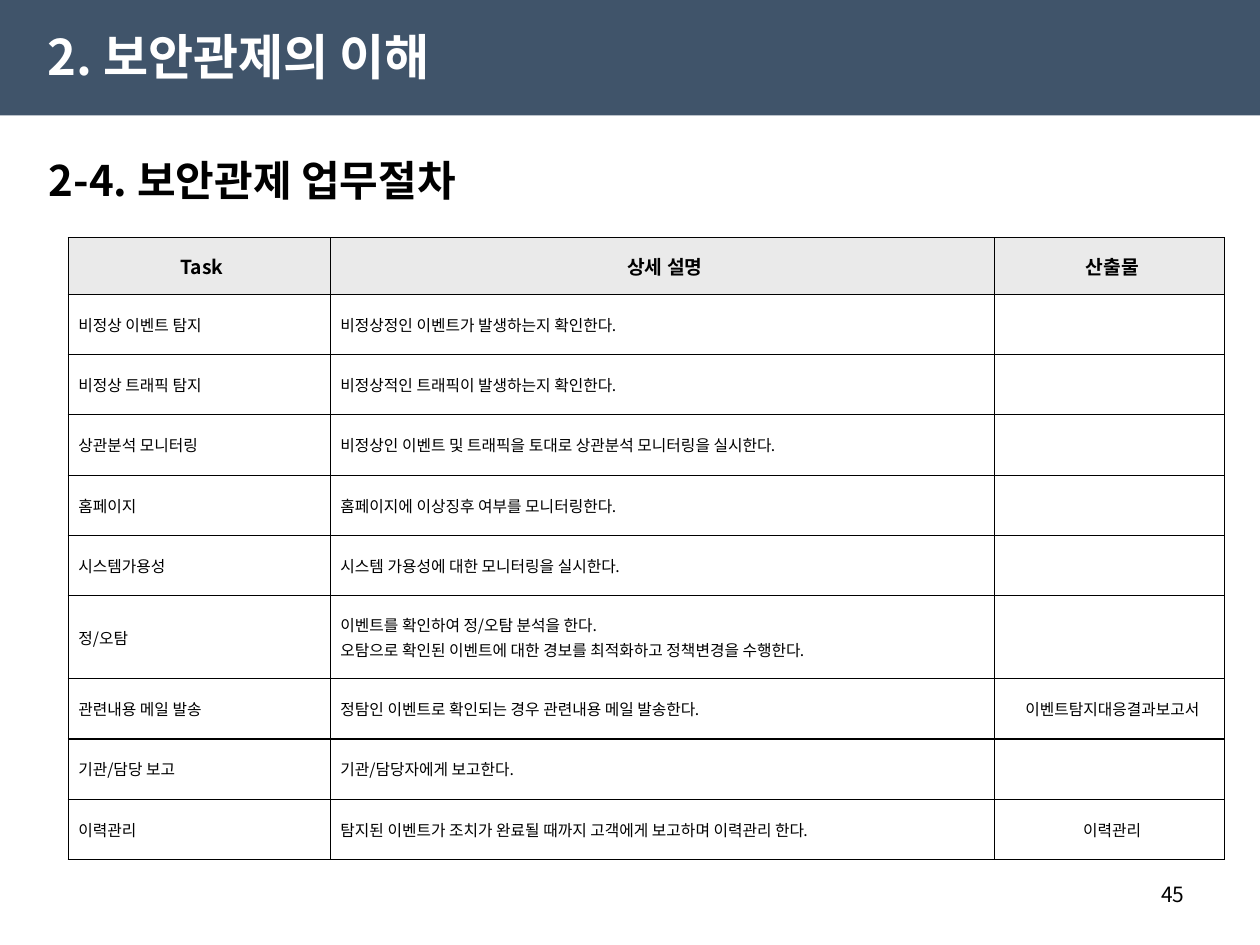
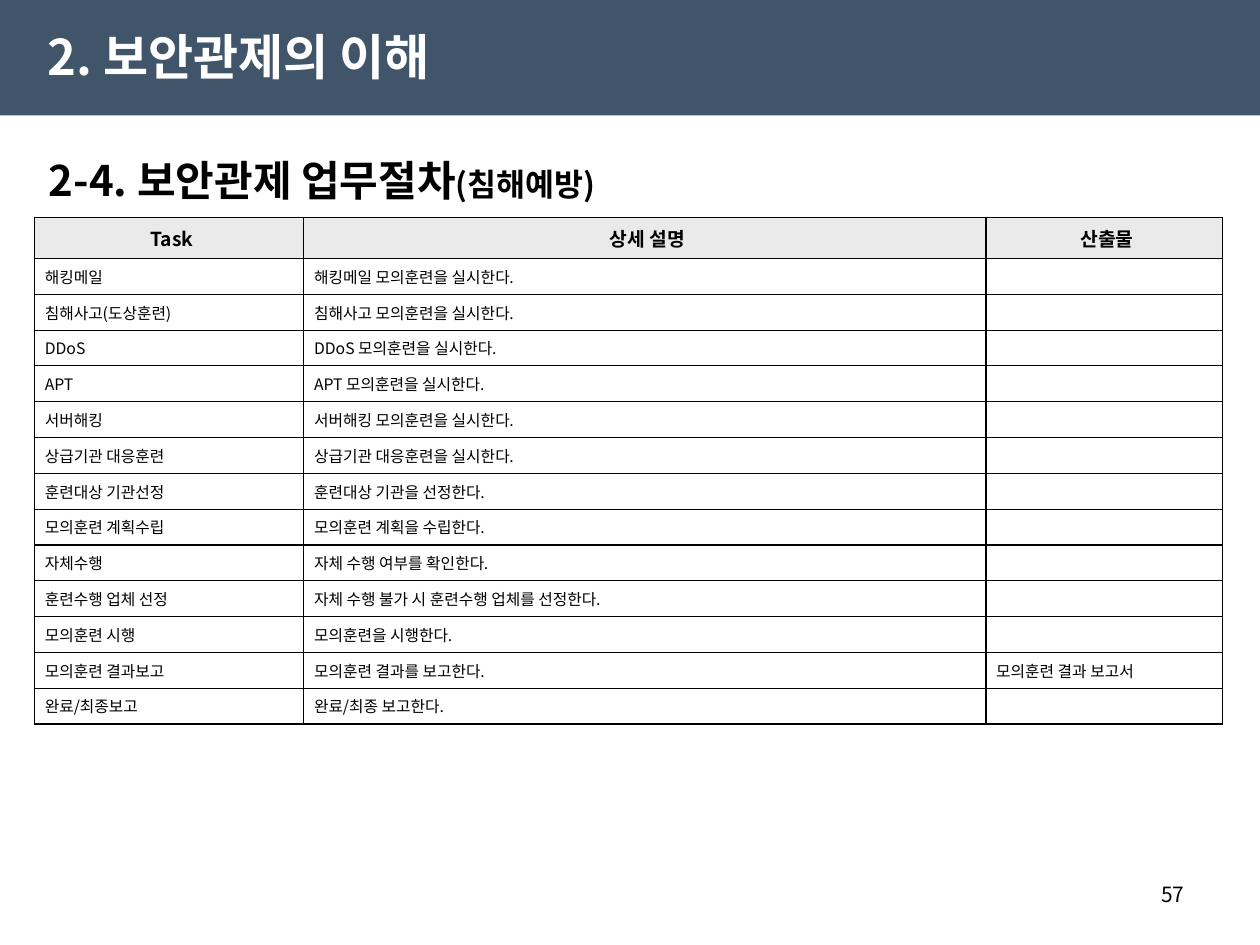
from lxml.etree import SubElement
from pptx import Presentation
from pptx.dml.color import RGBColor
from pptx.enum.shapes import MSO_SHAPE as Shape
from pptx.enum.text import MSO_ANCHOR as Anchor, PP_ALIGN as Align
from pptx.oxml import parse_xml
from pptx.oxml.ns import nsdecls, qn
from pptx.util import Pt

SLATE = RGBColor(0x40, 0x54, 0x6A)
WHITE = RGBColor(0xFF, 0xFF, 0xFF)
BLACK = RGBColor(0x00, 0x00, 0x00)
LIGHT_GRAY = RGBColor(0xEA, 0xEA, 0xEA)
FONT = "Noto Sans CJK KR"

SLIDE_WIDTH, SLIDE_HEIGHT = 720, 540
BORDER_WIDTH = 0.75
HEADER_SIZE, BODY_SIZE = 11, 9
COLUMN_WEIGHTS = (2.08, 5.27, 1.83)

CHAPTER = "2. 보안관제의 이해"
SECTION = "2-4. 보안관제 업무절차"
TABLE_HEADER = ("Task", "상세 설명", "산출물")

MONITORING_TASKS = [
    ("비정상 이벤트 탐지", "비정상정인 이벤트가 발생하는지 확인한다.", ""),
    ("비정상 트래픽 탐지", "비정상적인 트래픽이 발생하는지 확인한다.", ""),
    ("상관분석 모니터링", "비정상인 이벤트 및 트래픽을 토대로 상관분석 모니터링을 실시한다.", ""),
    ("홈페이지", "홈페이지에 이상징후 여부를 모니터링한다.", ""),
    ("시스템가용성", "시스템 가용성에 대한 모니터링을 실시한다.", ""),
    ("정/오탐", "이벤트를 확인하여 정/오탐 분석을 한다.\n"
     "오탐으로 확인된 이벤트에 대한 경보를 최적화하고 정책변경을 수행한다.", ""),
    ("관련내용 메일 발송", "정탐인 이벤트로 확인되는 경우 관련내용 메일 발송한다.",
     "이벤트탐지대응결과보고서"),
    ("기관/담당 보고", "기관/담당자에게 보고한다.", ""),
    ("이력관리", "탐지된 이벤트가 조치가 완료될 때까지 고객에게 보고하며 이력관리 한다.",
     "이력관리"),
]

PREVENTION_TASKS = [
    ("해킹메일", "해킹메일 모의훈련을 실시한다.", ""),
    ("침해사고(도상훈련)", "침해사고 모의훈련을 실시한다.", ""),
    ("DDoS", "DDoS 모의훈련을 실시한다.", ""),
    ("APT", "APT 모의훈련을 실시한다.", ""),
    ("서버해킹", "서버해킹 모의훈련을 실시한다.", ""),
    ("상급기관 대응훈련", "상급기관 대응훈련을 실시한다.", ""),
    ("훈련대상 기관선정", "훈련대상 기관을 선정한다.", ""),
    ("모의훈련 계획수립", "모의훈련 계획을 수립한다.", ""),
    ("자체수행", "자체 수행 여부를 확인한다.", ""),
    ("훈련수행 업체 선정", "자체 수행 불가 시 훈련수행 업체를 선정한다.", ""),
    ("모의훈련 시행", "모의훈련을 시행한다.", ""),
    ("모의훈련 결과보고", "모의훈련 결과를 보고한다.", "모의훈련 결과 보고서"),
    ("완료/최종보고", "완료/최종 보고한다.", ""),
]


class Deck:
    def __init__(self):
        self.presentation = Presentation()
        self.presentation.slide_width = Pt(SLIDE_WIDTH)
        self.presentation.slide_height = Pt(SLIDE_HEIGHT)
        self.slide = None

    def add_slide(self, section_runs, page_number):
        self.slide = self.presentation.slides.add_slide(self.presentation.slide_layouts[6])
        self.add_band()
        self.add_text(20.2, 9.4, 340, 45.4, [(CHAPTER, 28)], color=WHITE, bold=True)
        self.add_text(20.9, 82.8, 679, 39.6, section_runs, bold=True)
        self.add_text(516.2, 500.4, 167.8, 28.8, [(page_number, 12)],
                      align=Align.RIGHT, anchor=Anchor.TOP)

    def add_band(self):
        band = self.slide.shapes.add_shape(Shape.RECTANGLE, 0, 0, Pt(SLIDE_WIDTH), Pt(66))
        band.shadow.inherit = False
        band.fill.solid()
        band.fill.fore_color.rgb = SLATE
        band.line.fill.background()

    def add_text(self, left, top, width, height, runs, color=BLACK, bold=False,
                 align=Align.LEFT, anchor=Anchor.MIDDLE):
        box = self.slide.shapes.add_textbox(Pt(left), Pt(top), Pt(width), Pt(height))
        frame = box.text_frame
        frame.word_wrap = True
        frame.vertical_anchor = anchor
        paragraph = frame.paragraphs[0]
        paragraph.alignment = align
        for text, size in runs:
            self.add_run(paragraph, text, size, color, bold)

    def add_run(self, paragraph, text, size, color=BLACK, bold=False):
        run = paragraph.add_run()
        run.text = text
        font = run.font
        font.size = Pt(size)
        font.bold = bold
        font.color.rgb = color
        font.name = FONT
        SubElement(run._r.get_or_add_rPr(), qn("a:ea"), typeface=FONT)

    def add_task_table(self, left, top, width, tasks, header_height, row_height,
                       line_height=0, output_align=Align.LEFT):
        rows = [TABLE_HEADER, *tasks]
        heights = [header_height]
        heights += [row_height + line_height * task[1].count("\n") for task in tasks]
        table = self.slide.shapes.add_table(
            len(rows), len(TABLE_HEADER), Pt(left), Pt(top), Pt(width), Pt(sum(heights))).table
        table.first_row = table.horz_banding = False
        for column, weight in zip(table.columns, COLUMN_WEIGHTS):
            column.width = Pt(width * weight / sum(COLUMN_WEIGHTS))
        for row, height in zip(table.rows, heights):
            row.height = Pt(height)
        body_aligns = (Align.LEFT, Align.LEFT, output_align)
        for row_index, texts in enumerate(rows):
            for column_index, text in enumerate(texts):
                is_header = row_index == 0
                align = Align.CENTER if is_header else body_aligns[column_index]
                self.fill_cell(table.cell(row_index, column_index), text, align, is_header)

    def fill_cell(self, cell, text, align, is_header):
        cell.vertical_anchor = Anchor.MIDDLE
        cell.margin_left, cell.margin_right = Pt(5.8), Pt(2.9)
        cell.margin_top = cell.margin_bottom = Pt(3.6)
        if is_header:
            cell.fill.solid()
            cell.fill.fore_color.rgb = LIGHT_GRAY
        else:
            cell.fill.background()
        self.add_borders(cell)
        size = HEADER_SIZE if is_header else BODY_SIZE
        frame = cell.text_frame
        for index, line in enumerate(text.split("\n")):
            paragraph = frame.add_paragraph() if index else frame.paragraphs[0]
            paragraph.alignment = align
            if index:
                paragraph.space_before = Pt(1.2)
            if line:
                self.add_run(paragraph, line, size, bold=is_header)
            else:
                SubElement(paragraph._p, qn("a:endParaRPr"), sz=str(size * 100))

    def add_borders(self, cell):
        properties = cell._tc.get_or_add_tcPr()
        for index, side in enumerate(("lnL", "lnR", "lnT", "lnB")):
            properties.insert(index, parse_xml(
                f'<a:{side} {nsdecls("a")} w="{Pt(BORDER_WIDTH)}">'
                f'<a:solidFill><a:srgbClr val="{BLACK}"/></a:solidFill></a:{side}>'))


def main():
    deck = Deck()

    deck.add_slide([(SECTION, 24)], "45")
    deck.add_task_table(39, 135.8, 661, MONITORING_TASKS, header_height=32.4,
                        row_height=34.45, line_height=13, output_align=Align.CENTER)

    deck.add_slide([(SECTION, 24), ("(침해예방)", 18)], "57")
    deck.add_task_table(19.8, 124.3, 679, PREVENTION_TASKS, header_height=23.4,
                        row_height=20.48)

    deck.presentation.save("out.pptx")


if __name__ == "__main__":
    main()
